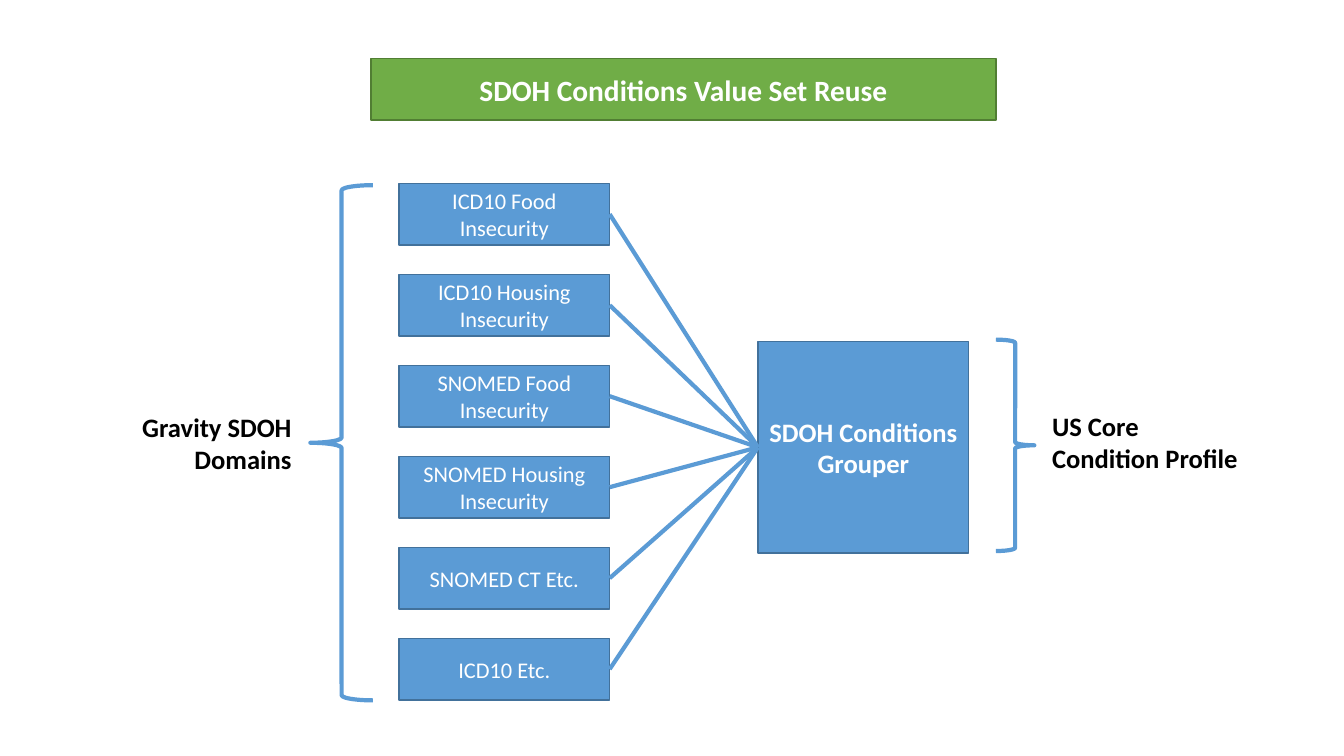
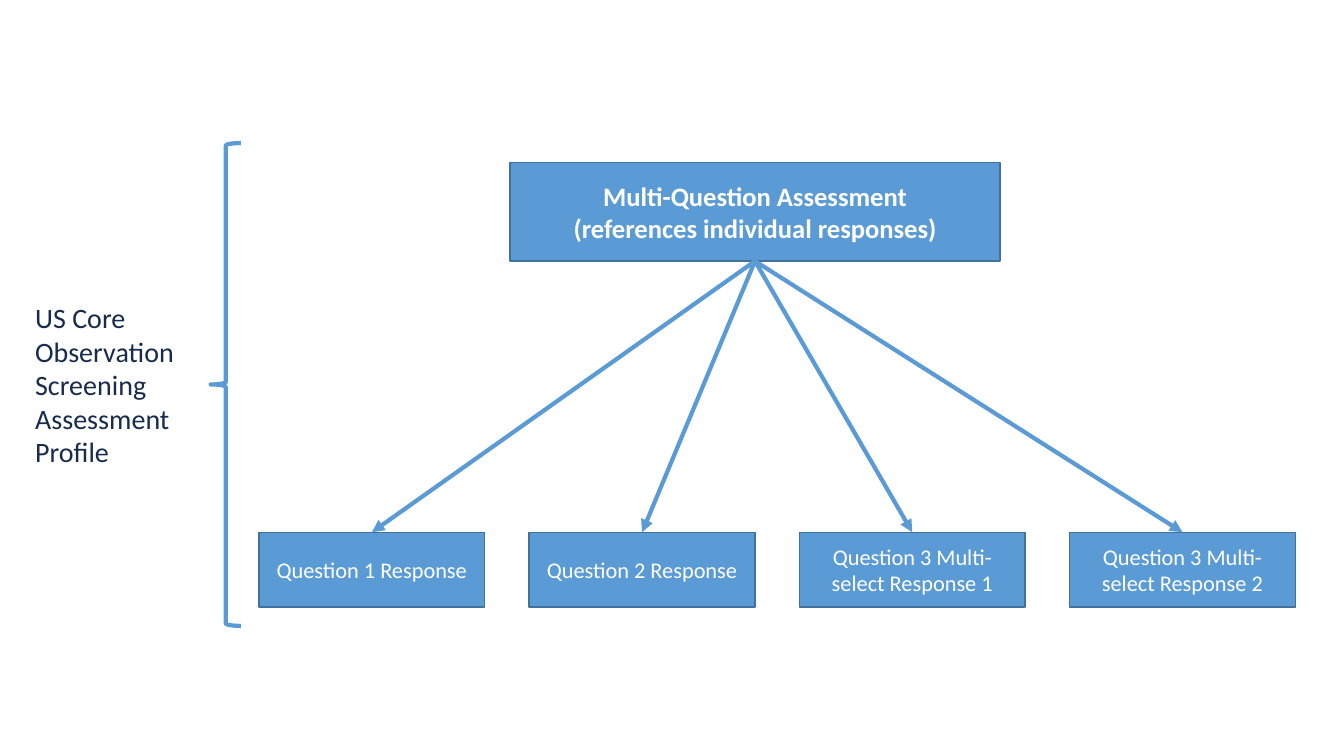
from dataclasses import dataclass
from typing import NamedTuple

from lxml.etree import SubElement
from pptx import Presentation
from pptx.dml.color import RGBColor
from pptx.enum.shapes import MSO_CONNECTOR, MSO_SHAPE
from pptx.enum.text import MSO_ANCHOR, PP_ALIGN
from pptx.oxml.ns import qn
from pptx.util import Pt


@dataclass(frozen=True)
class Theme:
    font: str = "Calibri"
    blue: str = "5B9BD5"
    blue_edge: str = "42719B"
    green: str = "70AD47"
    green_edge: str = "517E33"
    white: str = "FFFFFF"
    black: str = "000000"
    navy: str = "172B4D"
    title_size: int = 21
    note_size: int = 20
    strong_size: int = 19
    body_size: int = 16
    edge: int = 1
    stroke: int = 3


class Box(NamedTuple):
    left: float
    top: float
    width: float
    height: float

    def lengths(self):
        return [Pt(value) for value in self]

    def inside(self, left, top, width, height):
        return Box(self.left + left, self.top + top, width, height)


THEME = Theme()
TOP, LEFT, BOTTOM, RIGHT = range(4)  # connection sites of a rectangle

STRONG = {"size": Pt(THEME.strong_size), "bold": True}
BODY = {"size": Pt(THEME.body_size), "bold": False}
TITLE = {"size": Pt(THEME.title_size), "bold": True}
NOTE = {"size": Pt(THEME.note_size), "bold": False}


# Shared parts
def write(shape, lines, style, color, align):
    frame = shape.text_frame
    frame.word_wrap = True
    frame.vertical_anchor = MSO_ANCHOR.MIDDLE
    for index, line in enumerate(lines):
        para = frame.add_paragraph() if index else frame.paragraphs[0]
        para.alignment = align
        span = para.add_run()
        span.text = line
        span.font.color.rgb = RGBColor.from_string(color)
        for name, value in {"name": THEME.font, **style}.items():
            setattr(span.font, name, value)


def set_line(shape, color, width):
    shape.line.color.rgb = RGBColor.from_string(color)
    shape.line.width = Pt(width)


def add_block(page, box, lines, style, fill=THEME.blue, edge=THEME.blue_edge):
    block = page.shapes.add_shape(MSO_SHAPE.RECTANGLE, *box.lengths())
    block.shadow.inherit = False
    block.fill.solid()
    block.fill.fore_color.rgb = RGBColor.from_string(fill)
    set_line(block, edge, THEME.edge)
    write(block, lines, style, THEME.white, PP_ALIGN.CENTER)
    return block


def add_label(page, box, text, style, color=THEME.black, align=PP_ALIGN.LEFT):
    label = page.shapes.add_textbox(*box.lengths())
    write(label, [text], style, color, align)


def add_brace(page, box, kind):
    brace = page.shapes.add_shape(kind, *box.lengths())
    brace.shadow.inherit = False
    brace.fill.background()
    set_line(brace, THEME.blue, THEME.stroke)


def add_link(page, start, start_site, end, end_site, arrow=False):
    link = page.shapes.add_connector(MSO_CONNECTOR.STRAIGHT, 0, 0, 0, 0)
    link.begin_connect(start, start_site)
    link.end_connect(end, end_site)
    set_line(link, THEME.blue, THEME.stroke)
    if arrow:
        SubElement(link.line._get_or_add_ln(), qn("a:tailEnd"), type="triangle")
    SubElement(link._element.spPr, qn("a:effectLst"))


def add_series(page, box, texts, step_x=0, step_y=0):
    return [
        add_block(page, box.inside(index * step_x, index * step_y, box.width, box.height), [text], BODY)
        for index, text in enumerate(texts)
    ]


# Slide 1: value sets feed one grouper
def add_value_sets(page, box, texts):
    gap = 21
    height = (box.height - gap * (len(texts) - 1)) / len(texts)
    first = box.inside(0, 0, box.width, height)
    value_sets = add_series(page, first, texts, step_y=height + gap)
    add_brace(page, box.inside(-63.3, 1.3, 44.6, 368), MSO_SHAPE.LEFT_BRACE)
    add_label(page, box.inside(-220.2, 163.5, 150.5, 44), "Gravity SDOH Domains", STRONG, align=PP_ALIGN.RIGHT)
    return value_sets


def add_grouper(page, box):
    grouper = add_block(page, box, ["SDOH Conditions Grouper"], STRONG)
    add_brace(page, box.inside(170, -1.4, 27.4, box.height), MSO_SHAPE.RIGHT_BRACE)
    add_label(page, box.inside(203, 49.8, 150.5, 44), "US Core Condition Profile", STRONG)
    return grouper


def build_reuse(page):
    add_block(page, Box(265, 41.8, 446.4, 44), ["SDOH Conditions Value Set Reuse"],
              TITLE, THEME.green, THEME.green_edge)
    value_sets = add_value_sets(page, Box(285, 131, 150.5, 369), [
        "ICD10 Food Insecurity",
        "ICD10 Housing Insecurity",
        "SNOMED Food Insecurity",
        "SNOMED Housing Insecurity",
        "SNOMED CT Etc.",
        "ICD10 Etc.",
    ])
    grouper = add_grouper(page, Box(541.4, 244, 150.5, 151))
    for value_set in value_sets:
        add_link(page, value_set, RIGHT, grouper, LEFT)


# Slide 2: one assessment points to its responses
def add_profile(page, box):
    add_label(page, box.inside(0, 118.8, 157, 107.3),
              "US Core Observation Screening Assessment Profile", NOTE, THEME.navy)
    add_brace(page, box.inside(132.5, 0, 21.6, box.height), MSO_SHAPE.LEFT_BRACE)


def add_response_tree(page, box, responses):
    gap = 31.7
    width = (box.width - gap * (len(responses) - 1)) / len(responses)
    height = 53.3
    first = box.inside(0, box.height - height, width, height)
    leaves = add_series(page, first, responses, step_x=width + gap)
    assessment = add_block(page, box.inside(179.3, 0, 350, 70.6),
                           ["Multi-Question Assessment", "(references individual responses)"], STRONG)
    for leaf in leaves:
        add_link(page, assessment, BOTTOM, leaf, TOP, arrow=True)


def build_assessment(page):
    add_profile(page, Box(18, 102.2, 154.1, 344.9))
    add_response_tree(page, Box(185, 115.9, 740.3, 317.6), [
        "Question 1 Response",
        "Question 2 Response",
        "Question 3 Multi-select Response 1",
        "Question 3 Multi-select Response 2",
    ])


deck = Presentation()
deck.slide_width, deck.slide_height = Pt(960), Pt(540)
for build in (build_reuse, build_assessment):
    build(deck.slides.add_slide(deck.slide_layouts[6]))
deck.save("out.pptx")
